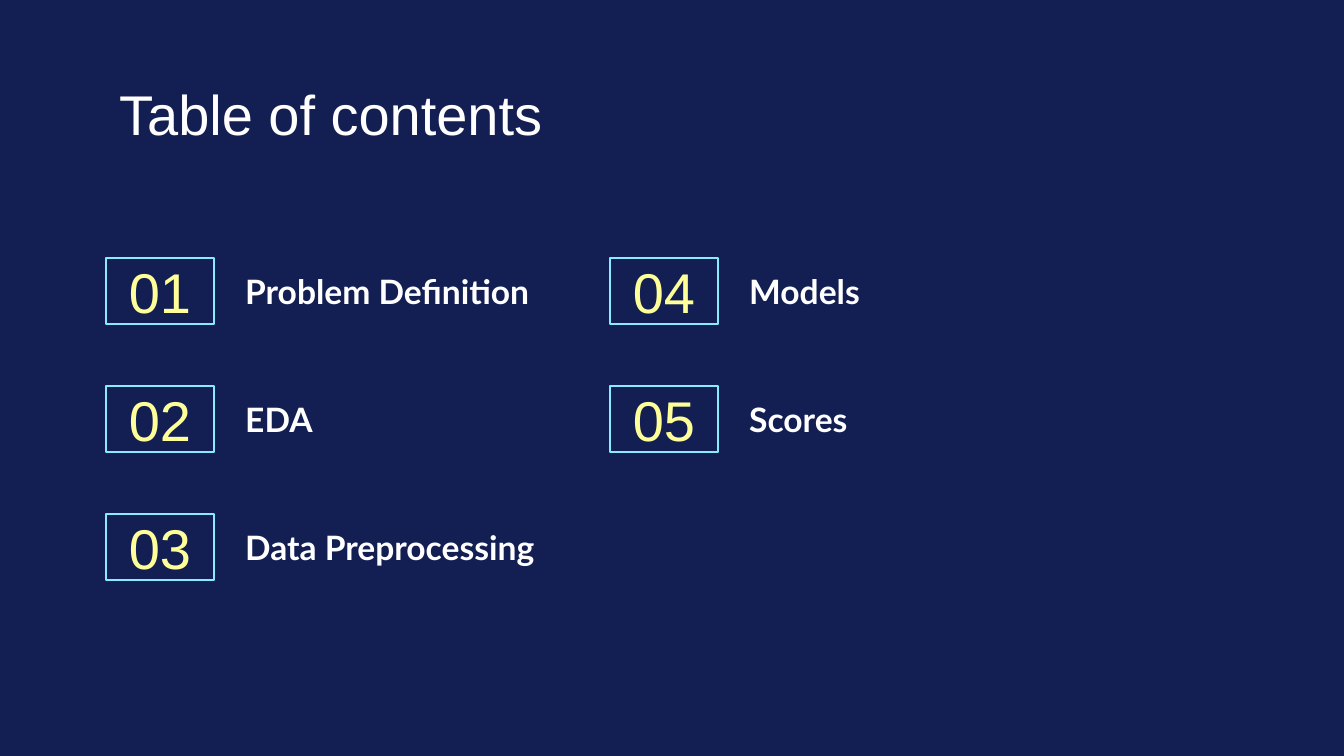
from pptx import Presentation
from pptx import util as u
from pptx.dml.color import RGBColor
from pptx.enum import shapes, text

SCALE = u.Inches(10) / 1344
NAVY, CYAN, CREAM, WHITE = "131F52", "87EBFC", "FFFF99", "FFFFFF"
TOPICS = ["Problem Definition", "EDA", "Data Preprocessing", "Models", "Scores"]


def px(n):
    return u.Emu(round(n * SCALE))


def rgb(code):
    return RGBColor.from_string(code)


class Deck:
    """Holds the style and the current slide, and draws its elements."""

    def __init__(self):
        self.prs = Presentation()
        self.prs.slide_width, self.prs.slide_height = px(1344), px(756)
        self.slide = self.prs.slides.add_slide(self.prs.slide_layouts[6])
        fill = self.slide.background.fill
        fill.solid()
        fill.fore_color.rgb = rgb(NAVY)

    def style(self, shape, words, size, font, color, bold=False,
              align=text.PP_ALIGN.LEFT, anchor=text.MSO_ANCHOR.MIDDLE):
        frame = shape.text_frame
        frame.text = words
        frame.word_wrap = True
        frame.vertical_anchor = anchor
        frame.margin_left = frame.margin_right = u.Inches(0.1)
        frame.margin_top = frame.margin_bottom = u.Inches(0.1)
        par = frame.paragraphs[0]
        par.alignment = align
        face = par.runs[0].font
        face.size, face.name, face.bold = u.Pt(size), font, bold
        face.color.rgb = rgb(color)

    def title(self, words, *box):
        shape = self.slide.shapes.add_textbox(*map(px, box))
        self.style(shape, words, 30, "Arial", WHITE,
                   anchor=text.MSO_ANCHOR.TOP)

    def label(self, words, *box):
        shape = self.slide.shapes.add_textbox(*map(px, box))
        self.style(shape, words, 18, "Lato", WHITE, bold=True)

    def number(self, words, *box):
        shape = self.slide.shapes.add_shape(
            shapes.MSO_SHAPE.RECTANGLE, *map(px, box))
        shape.shadow.inherit = False
        shape.fill.background()
        shape.line.color.rgb = rgb(CYAN)
        shape.line.width = u.Pt(1.5)
        self.style(shape, words, 30, "Arial", CREAM,
                   align=text.PP_ALIGN.CENTER)


def main():
    deck = Deck()
    deck.title("Table of contents", 106, 66, 1133, 85)
    for i, topic in enumerate(TOPICS):
        col, row = divmod(i, 3)
        left, top = 106 + 504 * col, 258 + 128 * row
        deck.number(f"{i + 1:02}", left, top, 108, 66)
        deck.label(topic, left + 126, top, 341, 66)
    deck.prs.save("out.pptx")


if __name__ == "__main__":
    main()
